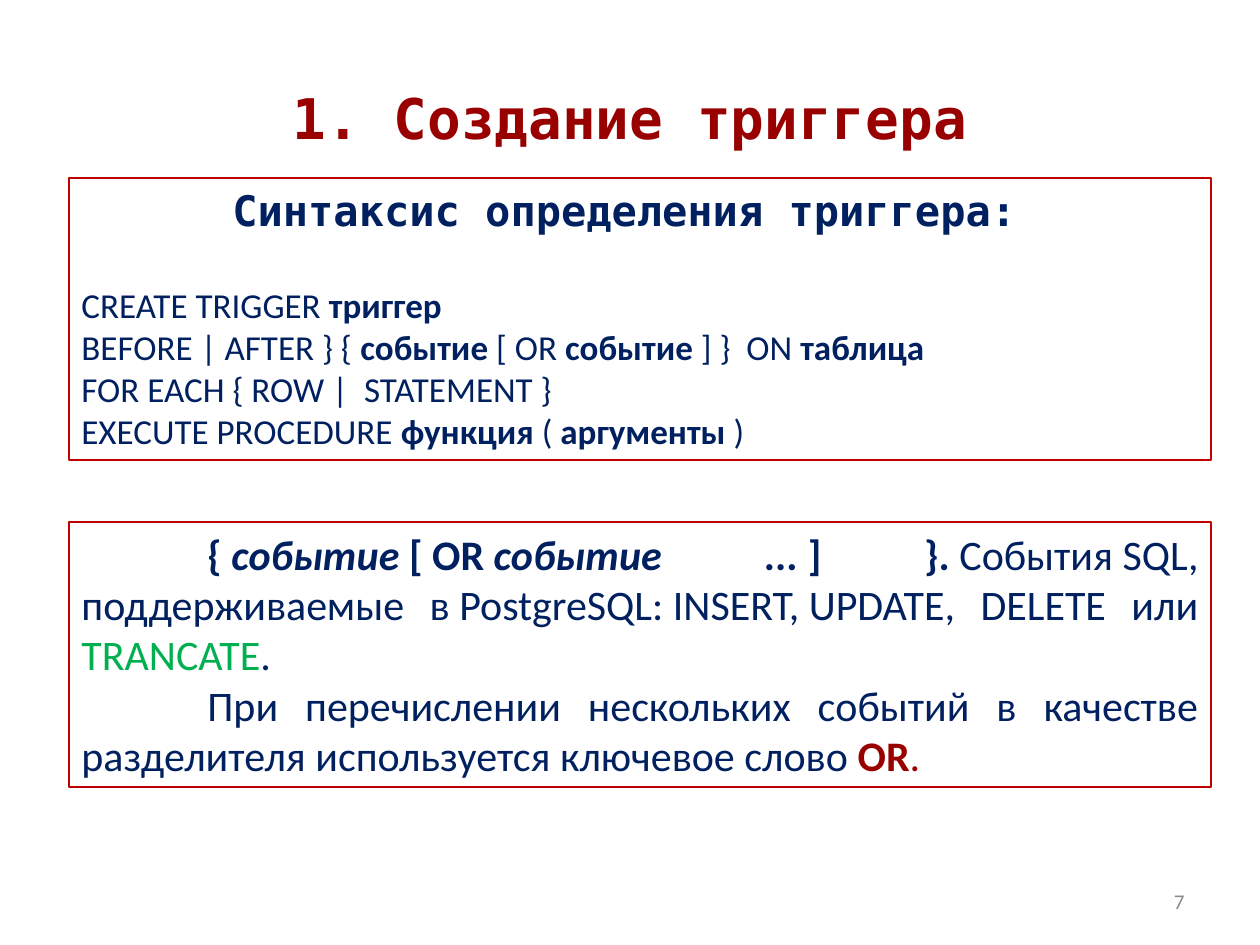
from dataclasses import dataclass

from pptx import Presentation
from pptx import util as u
from pptx.dml.color import RGBColor
from pptx.enum import shapes, text

PX = u.Inches(1) / 126
HARD_SPACE = chr(160)


@dataclass(frozen=True)
class Theme:
    """Colours, fonts and type sizes of the slide."""
    navy: str = "002060"
    crimson: str = "990000"
    border: str = "C00000"
    green: str = "00B050"
    grey: str = "898989"
    mono: str = "DejaVu Sans Mono"
    sans: str = "Calibri"
    title: int = 32
    body: int = 24
    code: int = 20
    number: int = 12


THEME = Theme()


def px(length):
    """Turn whole px into EMU."""
    return u.Emu(round(length * PX))


def add_run(paragraph, words, size, color=THEME.navy, font=THEME.sans, bold=False, italic=False):
    """Add one formatted run; a tilde stands for a non-breaking space."""
    run = paragraph.add_run()
    run.text = words.replace("~", HARD_SPACE)
    run.font.size = u.Pt(size)
    run.font.name = font
    run.font.bold = bold
    run.font.italic = italic
    run.font.color.rgb = RGBColor.from_string(color)


def indent_first_line(paragraph, length):
    """Indent the first line of a paragraph."""
    properties = paragraph._p.get_or_add_pPr()
    properties.set("marL", "0")
    properties.set("indent", str(px(length)))


def add_title(slide, words):
    """Fill and place the title placeholder."""
    title = slide.shapes.title
    title.left, title.top, title.width, title.height = map(px, (63, 38, 1134, 158))
    title.text_frame.vertical_anchor = text.MSO_ANCHOR.MIDDLE
    paragraph = title.text_frame.paragraphs[0]
    paragraph.alignment = text.PP_ALIGN.CENTER
    add_run(paragraph, words, THEME.title, THEME.crimson, THEME.mono, bold=True)


def add_frame(slide, top, height):
    """Add an outlined box and return its text frame."""
    shape = slide.shapes.add_shape(
        shapes.MSO_SHAPE.RECTANGLE, px(69), px(top), px(1142), px(height))
    shape.shadow.inherit = False
    shape.fill.background()
    shape.line.color.rgb = RGBColor.from_string(THEME.border)
    shape.line.width = u.Pt(1.5)
    frame = shape.text_frame
    frame.word_wrap = True
    frame.vertical_anchor = text.MSO_ANCHOR.TOP
    return frame


def add_syntax(slide, heading, lines):
    """Add the syntax box; words at odd places in a line are bold."""
    frame = add_frame(slide, 178, 282)
    paragraph = frame.paragraphs[0]
    paragraph.alignment = text.PP_ALIGN.LEFT
    indent_first_line(paragraph, 151)
    add_run(paragraph, heading, THEME.body, font=THEME.mono, bold=True)
    paragraph = frame.add_paragraph()
    paragraph.alignment = text.PP_ALIGN.LEFT
    paragraph.space_before = u.Pt(28)
    for number, line in enumerate(lines):
        if number:
            paragraph.add_line_break()
        for place, words in enumerate(line):
            add_run(paragraph, words, THEME.code, bold=place % 2 == 1)


def add_explanation(slide, paragraphs):
    """Add the box of justified paragraphs made of styled runs."""
    frame = add_frame(slide, 522, 265)
    for number, runs in enumerate(paragraphs):
        paragraph = frame.add_paragraph() if number else frame.paragraphs[0]
        paragraph.alignment = text.PP_ALIGN.JUSTIFY
        indent_first_line(paragraph, 126)
        for words, style in runs:
            add_run(paragraph, words, THEME.body, **style)


def add_number(slide, words):
    """Add the slide number."""
    frame = slide.shapes.add_textbox(px(903), px(876), px(294), px(50)).text_frame
    frame.word_wrap = True
    frame.vertical_anchor = text.MSO_ANCHOR.MIDDLE
    frame.paragraphs[0].alignment = text.PP_ALIGN.RIGHT
    add_run(frame.paragraphs[0], words, THEME.number, THEME.grey)


def main():
    """Build and save the slide."""
    presentation = Presentation()
    presentation.slide_width, presentation.slide_height = px(1260), px(945)
    slide = presentation.slides.add_slide(presentation.slide_layouts[5])
    add_title(slide, "1. Создание триггера")
    add_syntax(slide, "Синтаксис определения триггера:", [
        ["CREATE~TRIGGER~", "триггер"],
        ["BEFORE~|~AFTER~} {~", "событие", "~[~OR~", "событие", "~] }~ ON~", "таблица"],
        ["FOR EACH { ROW |~~STATEMENT }"],
        ["EXECUTE PROCEDURE~", "функция", "~(~", "аргументы", "~)"],
    ])
    bold = {"bold": True}
    event = {"bold": True, "italic": True}
    add_explanation(slide, [
        [("{~", bold), ("событие~", event), ("[~OR~", bold), ("событие ...~", event),
         ("] }.", bold),
         ("~События~SQL, поддерживаемые в~PostgreSQL:~INSERT,~UPDATE, DELETE или ", {}),
         ("TRANCATE", {"color": THEME.green}), (".", {})],
        [("При перечислении нескольких событий в качестве разделителя "
          "используется~ключевое слово~", {}),
         ("OR", {"color": THEME.crimson, "bold": True}), (".", {"color": THEME.crimson})],
    ])
    add_number(slide, "7")
    presentation.save("out.pptx")


if __name__ == "__main__":
    main()
